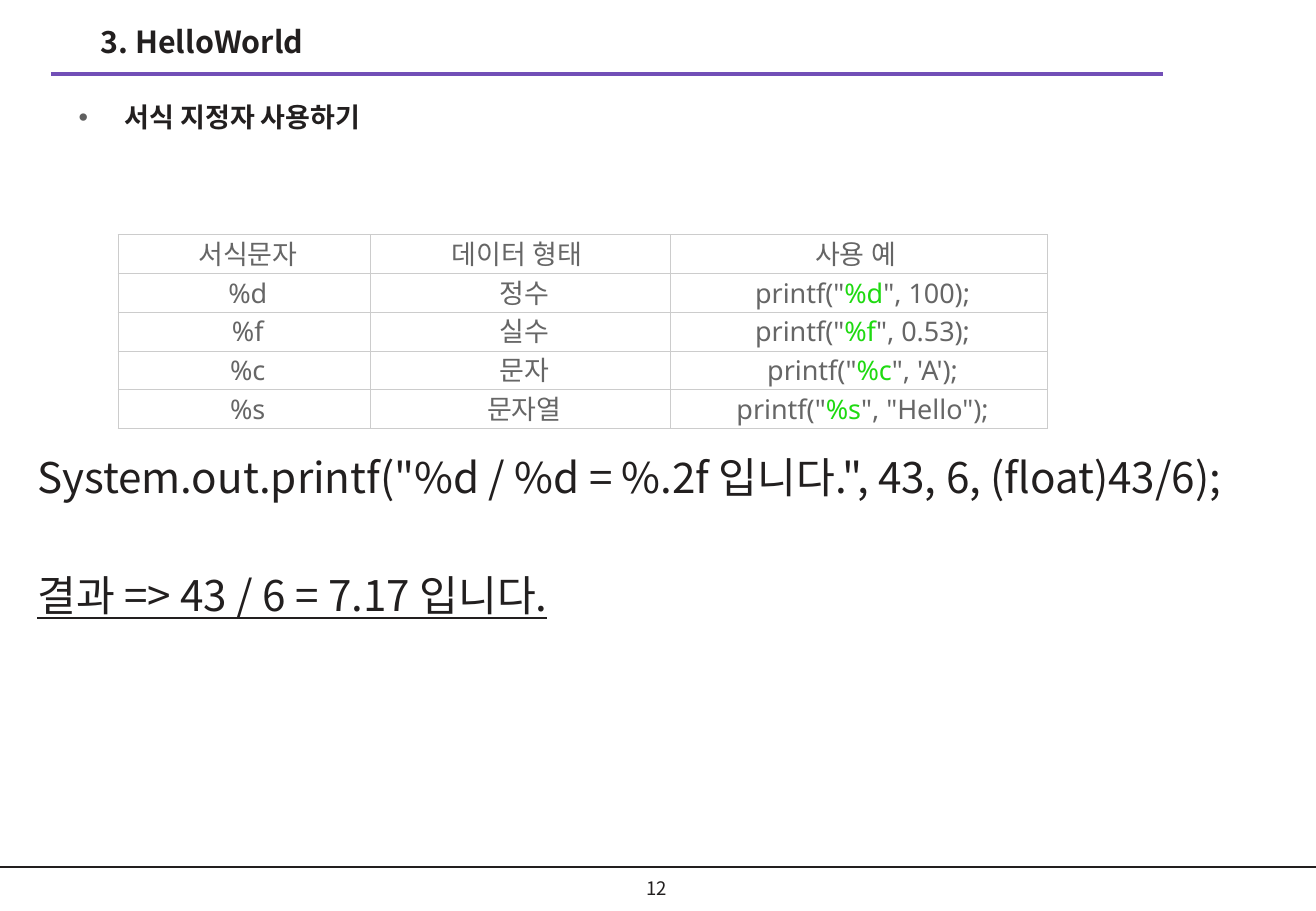
"""Build the slide on printf format specifiers."""
from lxml.etree import SubElement
from pptx import Presentation
from pptx.dml.color import RGBColor
from pptx.enum.shapes import MSO_CONNECTOR
from pptx.enum.text import MSO_ANCHOR, PP_ALIGN
from pptx.oxml.ns import qn
from pptx.util import Inches, Pt

INK = RGBColor(0x22, 0x1F, 0x1F)
PURPLE = RGBColor(0x72, 0x4F, 0xB7)
GRAY = RGBColor(0x66, 0x66, 0x66)
GREEN = RGBColor(0x1F, 0xDA, 0x11)
WHITE = RGBColor(0xFF, 0xFF, 0xFF)
KOREAN = "Noto Sans CJK KR"

prs = Presentation()
prs.slide_width, prs.slide_height = Inches(10.83), Inches(7.5)
W, H = prs.slide_width, prs.slide_height
s = prs.slides.add_slide(prs.slide_layouts[6])


def add_run(p, text, size, color=INK, name=KOREAN, **style):
    r = p.add_run()
    r.text = text
    r.font.color.rgb = color
    for key, value in dict(style, size=Pt(size), name=name).items():
        setattr(r.font, key, value)
    for tag in ("a:ea", "a:cs"):
        SubElement(r.font._element, qn(tag), typeface=name)


def add_text(left, top, width, height):
    sp = s.shapes.add_textbox(*map(Inches, (left, top, width, height)))
    sp.text_frame.word_wrap = True
    return sp.text_frame


for x1, x2, y, color, weight in ((0, W, 7.14, INK, 1),
                                 (Inches(0.42), Inches(9.57), 0.61, PURPLE, 2.25)):
    line = s.shapes.add_connector(MSO_CONNECTOR.STRAIGHT, x1, Inches(y), x2, Inches(y))
    line.line.color.rgb = color
    line.line.width = Pt(weight)
    SubElement(line._element.spPr, qn("a:effectLst"))

tf = add_text(5.1, 7.15, 0.61, 0.33)
tf.vertical_anchor = MSO_ANCHOR.MIDDLE
tf.paragraphs[0].alignment = PP_ALIGN.CENTER
add_run(tf.paragraphs[0], "12", 11)

add_run(add_text(0.73, 0.14, 5.55, 0.48).paragraphs[0], "3. HelloWorld", 18, bold=True)

p = add_text(0.55, 0.78, 8.86, 0.5).paragraphs[0]
pPr = p._p.get_or_add_pPr()
pPr.set("marL", str(Inches(0.38)))
pPr.set("indent", str(-Inches(0.38)))
SubElement(SubElement(pPr, qn("a:buClr")), qn("a:srgbClr"), val="5F5F5F")
SubElement(pPr, qn("a:buFont"), typeface="Arial")
SubElement(pPr, qn("a:buChar"), char="•")
add_run(p, "서식 지정자 사용하기", 16, bold=True)

rows = [[" 서식문자", "데이터 형태 ", "사용 예 "]]
for spec_text, kind, value in (("%d", "정수", "100"), ("%f", "실수", "0.53"),
                               ("%c", "문자", "'A'"), ("%s", "문자열", '"Hello"')):
    rows.append([f" {spec_text}", f" {kind}", (' printf("', spec_text, f'", {value});')])

col_widths = (2.08, 2.47, 3.1)
row_height = 0.32
table = s.shapes.add_table(len(rows), len(col_widths), Inches(0.97), Inches(1.93),
                           Inches(sum(col_widths)), Inches(row_height * len(rows))).table
table.first_row = table.horz_banding = False
for col, width in zip(table.columns, col_widths):
    col.width = Inches(width)
for row, texts in zip(table.rows, rows):
    row.height = Inches(row_height)
    for cell, text in zip(row.cells, texts):
        cell.margin_left = cell.margin_right = cell.margin_top = cell.margin_bottom = 0
        cell.vertical_anchor = MSO_ANCHOR.MIDDLE
        tcPr = cell._tc.get_or_add_tcPr()
        for side in ("a:lnL", "a:lnR", "a:lnT", "a:lnB"):
            ln = SubElement(tcPr, qn(side), w=str(Pt(0.38)))
            SubElement(SubElement(ln, qn("a:solidFill")), qn("a:srgbClr"), val="CCCCCC")
        cell.fill.solid()
        cell.fill.fore_color.rgb = WHITE
        p = cell.text_frame.paragraphs[0]
        p.alignment = PP_ALIGN.CENTER
        parts = (text,) if isinstance(text, str) else text
        for part, color in zip(parts, (GRAY, GREEN, GRAY)):
            add_run(p, part, 16, color, "Noto Sans")

tf = add_text(0.21, 3.67, 10.06, 2.04)
add_run(tf.paragraphs[0],
        'System.out.printf("%d / %d = %.2f 입니다.", 43, 6, (float)43/6);', 25)
p = tf.add_paragraph()
p.space_before = Pt(40)
add_run(p, "결과 => 43 / 6 = 7.17 입니다.", 25, underline=True)

prs.save("out.pptx")
